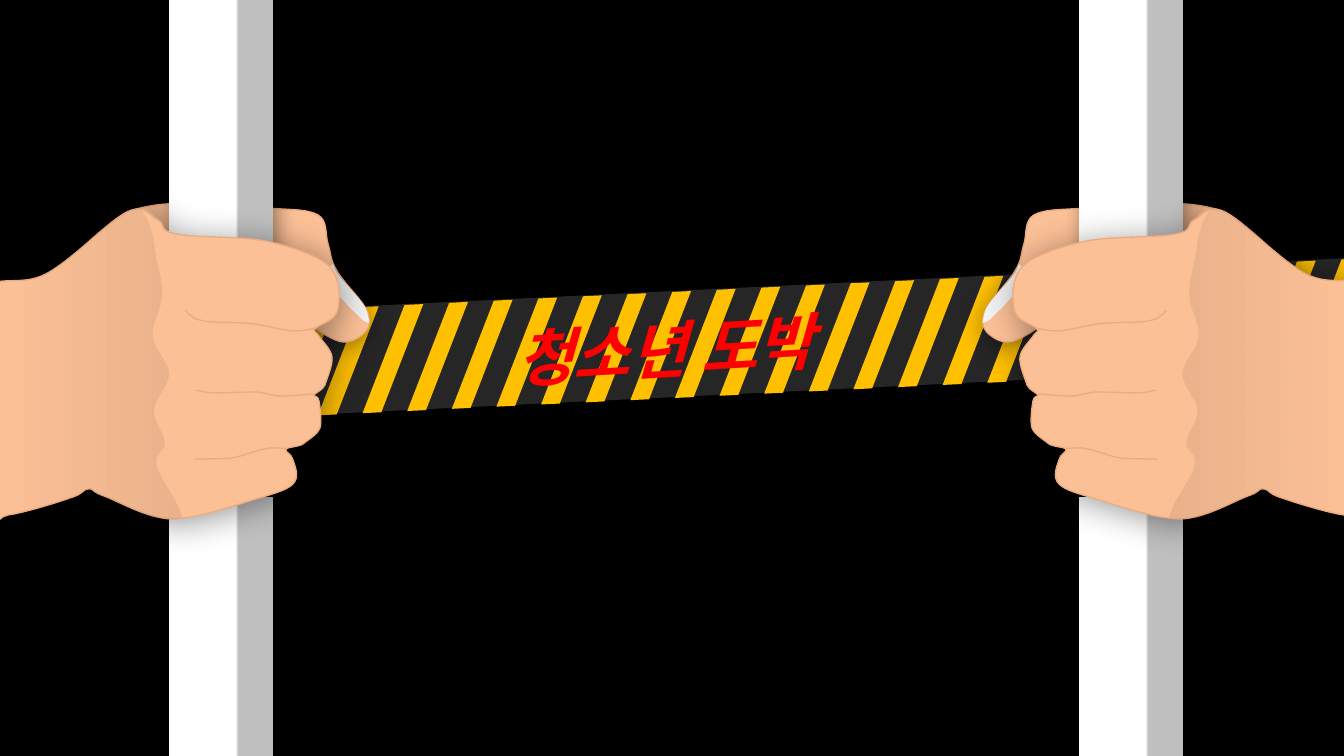
from lxml import etree
from pptx import Presentation
from pptx.dml.color import RGBColor
from pptx.enum.shapes import MSO_SHAPE as Shape
from pptx.enum.text import MSO_AUTO_SIZE as AutoSize, PP_ALIGN as Align
from pptx.oxml.ns import qn
from pptx.util import Emu, Pt

# Content: lengths in px; outlines describe the left hand, M move, L line, C curve
PX = 12192000 / 1344
WIDTH, HEIGHT = 1344, 756
MIRROR = 1352  # left x + right x
TITLE = "청소년 도박"
FONT = "Noto Sans CJK KR"
SKIN, SKIN_EDGE, NAIL_COLOR = "FBC096", "EDAC80", "F2F2F2"

TAPE = (1, 291, 1350, 106)
TAPE_TILT = 357.2
STRIPES = 30
STRIPE_FIRST, STRIPE_LAST, STRIPE_SIZE = (3, 323), (1297, 260), (66, 106)
TITLE_BOX, TITLE_TILT = (326, 307, 677, 85), 356.6

BAR_LEFT, BAR_WIDTH = 169, 104
BAR_PARTS = [(497, 259), (0, 254)]  # top, height
BAR_STOPS = [(0, "BFBFBF", 100), (33, "BFBFBF", 100),
             (36, "FFFFFF", 100), (100, "FFFFFF", 100)]
WRIST_STOPS = [(0, "000000", 7), (68, "000000", 0), (100, "000000", 0)]

# Shadows: blur pt, distance pt, direction in degrees
THUMB_SHADOW, BAR_SHADOW, FIST_SHADOW = (17, 3, 90), (14, 3, 0), (25, 3, 45)

THUMB = """M 27 313 C 31 300 78 250 100 232 C 121 214 129 209 157 205
C 184 201 238 207 265 208 C 291 210 307 209 318 215 C 328 221 325 234 328 244
C 331 253 330 260 337 271 C 343 282 361 299 366 309 C 371 320 370 326 366 331
C 362 336 352 343 343 342 C 335 342 316 329 316 329 C 297 320 266 296 238 288
C 209 279 170 275 143 279 C 116 282 94 303 75 310 C 56 317 23 327 27 313"""
NAIL = """M 333 264 L 329 268 C 327 271 326 275 327 279 C 329 286 344 301 351 309
C 355 312 360 318 364 321 L 369 323 L 369 322 C 369 319 368 314 366 309
C 361 299 343 282 336 272"""
THUMB_SHADE = """M 173 204 L 160 204 L 145 207 L 150 211 C 158 218 165 227 168 233
C 172 239 172 245 172 250 L 171 254 L 175 255 C 193 259 239 256 264 262
C 276 264 289 268 300 272 L 306 275 L 300 265 C 293 257 282 250 274 245
C 257 236 225 242 205 232 C 195 227 186 219 179 210"""
FIST = """M -15 286 C 3 276 23 286 46 274 C 71 261 109 221 127 212
C 146 203 150 217 158 220 C 166 224 158 231 176 234 C 194 238 240 236 265 241
C 290 246 317 255 329 266 C 341 278 340 299 338 309 C 336 321 320 324 316 328
C 312 332 314 330 318 335 C 321 340 331 349 332 357 C 333 365 327 378 325 385
C 322 391 316 392 314 395 C 313 397 318 395 319 401 C 320 407 322 421 320 428
C 317 435 309 439 303 444 C 298 447 288 447 286 449 C 284 452 292 454 293 460
C 295 466 300 477 293 484 C 287 490 276 493 256 499 C 236 505 197 519 171 519
C 146 518 118 501 104 496 C 90 491 94 488 88 489 C 83 489 84 494 70 498
C 56 503 23 513 8 515 C -6 517 -6 540 -18 511 C -30 481 -61 372 -62 335
C -64 297 -33 296 -15 286"""
CREASES = [
    """M 316 328 C 308 330 302 331 292 331 C 282 330 268 326 254 324
    C 239 322 215 323 204 321 C 193 319 190 315 186 311""",
    """M 314 394 C 302 395 291 396 281 396 C 271 396 268 393 256 392
    C 245 392 224 393 214 393 C 204 392 200 391 196 390""",
    """M 287 449 C 280 448 274 447 265 449 C 256 450 244 456 232 458
    C 220 459 207 459 194 459""",
]
WRIST_SHADE = """M 137 210 C 134 210 130 211 126 213 C 107 222 69 262 45 274
C 21 286 1 276 -17 286 C -28 293 -44 295 -54 306 L -57 310 L -54 339
C -48 381 -39 424 -31 450 C -24 476 -15 494 -5 509 L 2 517 L 6 515
C 21 513 54 503 68 499 C 82 495 81 490 86 489 C 92 489 88 492 102 497
C 116 502 144 519 169 519 L 182 518 C 180 502 159 478 157 466
C 154 453 165 452 165 443 C 164 432 153 421 154 410 C 155 399 169 386 169 374
C 169 362 154 350 153 337 C 151 324 162 309 162 296 C 163 284 159 274 157 261
C 154 248 154 230 145 216 L 142 211"""


def color(code):
    return RGBColor.from_string(code)


def emu(*lengths):
    return [Emu(round(length * PX)) for length in lengths]


def child(parent, tag, **attributes):
    return etree.SubElement(parent, qn(tag), {k: str(v) for k, v in attributes.items()})


def add_rgb(parent, code, opacity):
    rgb = child(parent, "a:srgbClr", val=code)
    if opacity < 100:
        child(rgb, "a:alpha", val=opacity * 1000)


def style(shape, fill=None, line=None, shadow=None, opacity=100):
    if fill:
        shape.fill.solid()
        shape.fill.fore_color.rgb = color(fill)
        if opacity < 100:
            rgb = shape._element.spPr.find(qn("a:solidFill")).find(qn("a:srgbClr"))
            child(rgb, "a:alpha", val=opacity * 1000)
    else:
        shape.fill.background()
    if line:
        shape.line.color.rgb = color(line)
        shape.line.width = Pt(1)
    else:
        shape.line.fill.background()
    shape.shadow.inherit = False
    if shadow:
        blur, distance, direction = shadow
        effects = shape._element.spPr.find(qn("a:effectLst"))
        outer = child(effects, "a:outerShdw", blurRad=Pt(blur), dist=Pt(distance),
                      dir=direction * 60000, algn="ctr", rotWithShape=0)
        add_rgb(outer, "000000", 40)


def set_gradient(shape, stops, angle):
    shape.fill.gradient()
    shape.fill.gradient_angle = angle
    stop_list = shape._element.spPr.find(qn("a:gradFill")).find(qn("a:gsLst"))
    for stop in list(stop_list):
        stop_list.remove(stop)
    for position, code, opacity in stops:
        add_rgb(child(stop_list, "a:gs", pos=position * 1000), code, opacity)


def add_outline(page, outline, mirrored, close=True, **look):
    tokens = outline.split()
    commands = [token for token in tokens if token.isalpha()]
    numbers = [int(token) for token in tokens if not token.isalpha()]
    points = [emu(MIRROR - x if mirrored else x, y)
              for x, y in zip(numbers[::2], numbers[1::2])]
    builder = page.shapes.build_freeform(*points[0])
    builder.add_line_segments(points[1:], close=close)
    shape = builder.convert_to_shape()
    # Join each three segments of a C command into one curve
    segments = shape._element.iter(qn("a:lnTo"))
    segments = iter(list(segments))
    for command in commands[1:]:
        first = next(segments)
        if command == "C":
            first.tag = qn("a:cubicBezTo")
            for _ in range(2):
                extra = next(segments)
                first.append(extra[0])
                extra.getparent().remove(extra)
    style(shape, **look)
    return shape


def add_preset(page, kind, left, top, width, height, **look):
    shape = page.shapes.add_shape(kind, *emu(left, top, width, height))
    style(shape, **look)
    return shape


def add_tape(page):
    add_preset(page, Shape.RECTANGLE, *TAPE, fill="262626").rotation = TAPE_TILT
    for index in range(STRIPES):
        left, top = (first + (last - first) * index / (STRIPES - 1)
                     for first, last in zip(STRIPE_FIRST, STRIPE_LAST))
        stripe = add_preset(page, Shape.PARALLELOGRAM, left, top, *STRIPE_SIZE, fill="FFC000")
        stripe.adjustments[0] = 0.715
        stripe.rotation = TAPE_TILT


def add_hand_on_bar(page, mirrored):
    add_outline(page, THUMB, mirrored, fill=SKIN, line=SKIN_EDGE, shadow=THUMB_SHADOW)
    add_outline(page, NAIL, mirrored, fill=NAIL_COLOR)
    add_outline(page, THUMB_SHADE, mirrored, fill="000000", opacity=6)
    bar_left = MIRROR - BAR_LEFT - BAR_WIDTH if mirrored else BAR_LEFT
    for top, height in BAR_PARTS:
        bar = add_preset(page, Shape.RECTANGLE, bar_left, top, BAR_WIDTH, height,
                         shadow=BAR_SHADOW)
        set_gradient(bar, BAR_STOPS, 180)
    add_outline(page, FIST, mirrored, fill=SKIN, line=SKIN_EDGE, shadow=FIST_SHADOW)
    for crease in CREASES:
        add_outline(page, crease, mirrored, close=False, line=SKIN_EDGE)
    wrist = add_outline(page, WRIST_SHADE, mirrored)
    set_gradient(wrist, WRIST_STOPS, 0 if mirrored else 180)


def add_title(page):
    box = page.shapes.add_textbox(*emu(*TITLE_BOX))
    box.rotation = TITLE_TILT
    frame = box.text_frame
    frame.word_wrap = True
    frame.auto_size = AutoSize.SHAPE_TO_FIT_TEXT
    para = frame.paragraphs[0]
    para.text = TITLE
    para.alignment = Align.CENTER
    font = para.font
    font.name, font.size, font.bold, font.italic = FONT, Pt(44), True, True
    font.color.rgb = color("FF0000")
    child(font._element, "a:ea", typeface=FONT)


def main():
    deck = Presentation()
    deck.slide_width, deck.slide_height = emu(WIDTH, HEIGHT)
    page = deck.slides.add_slide(deck.slide_layouts[6])
    page.background.fill.solid()
    page.background.fill.fore_color.rgb = color("000000")
    add_tape(page)
    for mirrored in (True, False):
        add_hand_on_bar(page, mirrored)
    add_title(page)
    deck.save("out.pptx")


if __name__ == "__main__":
    main()
